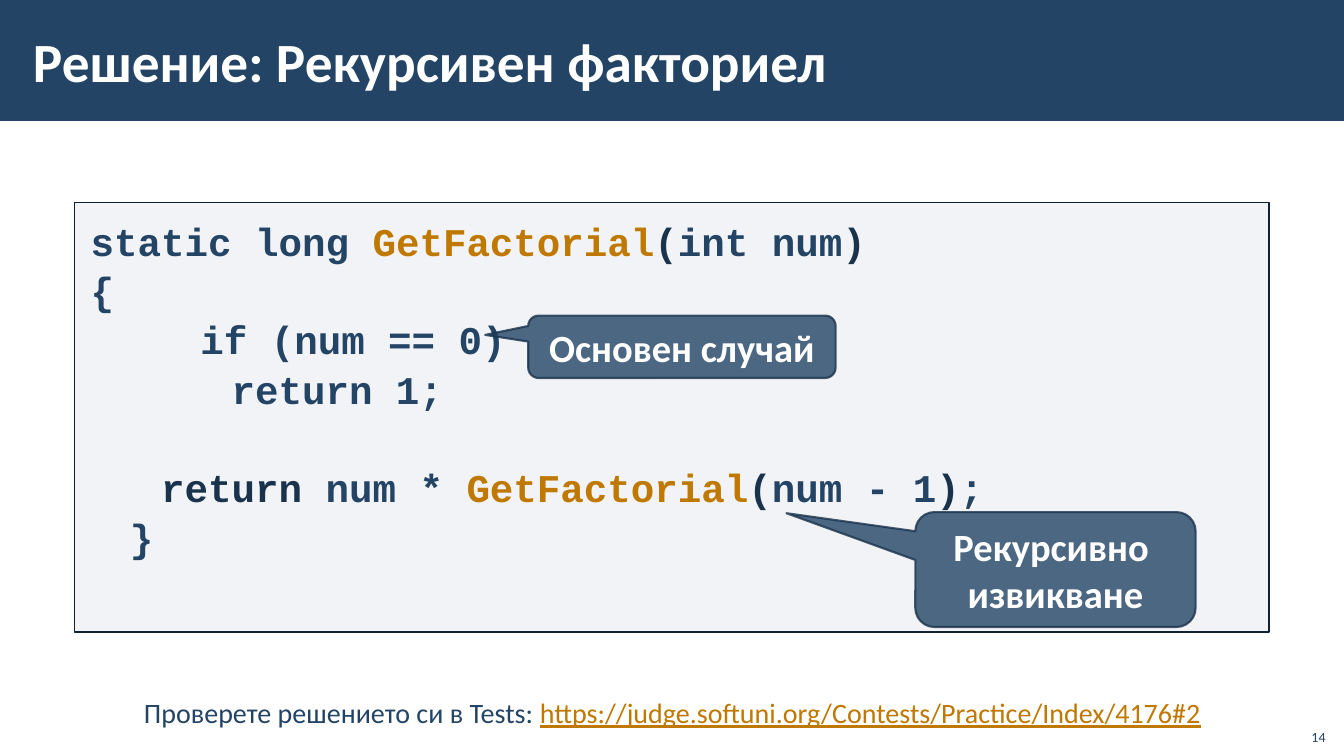
from lxml import etree
from pptx import Presentation
from pptx import util as u
from pptx.dml.color import RGBColor
from pptx.enum import shapes, text
from pptx.oxml.ns import qn

NAVY, DARK, GOLD, WHITE = "234465", "1A334C", "BF7800", "FFFFFF"

# Each paragraph of the code is a list of lines, each line a list of (text, colour)
CODE = [
    [[("static long ", NAVY), ("GetFactorial", GOLD), ("(", DARK),
      ("int num", NAVY), (")", DARK)]],
    [[("{", NAVY)], [("   if (num == 0)", NAVY)]],
    [[("      return 1;", NAVY)]],
    [[("   ", NAVY), ("return", DARK), (" num * ", NAVY), ("GetFactorial", GOLD),
      ("(", DARK), ("num - 1", NAVY), (")", DARK), (";", NAVY)], [("}", NAVY)]],
]


def color(value):
    return RGBColor.from_string(value)


def paint(fill, value, opacity=100):
    """Solid fill with an opacity in percent."""
    fill.solid()
    fill.fore_color.rgb = color(value)
    if opacity < 100:
        for tint in fill._xPr.iter(qn("a:srgbClr")):
            etree.SubElement(tint, qn("a:alpha"), val=str(opacity * 1000))


def set_font(font, size, value, bold=False, name="Calibri"):
    font.name, font.size, font.bold = name, u.Pt(size), bold
    font.color.rgb = color(value)


def set_frame(frame, across, down, anchor):
    frame.word_wrap = True
    frame.auto_size = text.MSO_AUTO_SIZE.NONE
    frame.vertical_anchor = anchor
    frame.margin_left = frame.margin_right = u.Pt(across)
    frame.margin_top = frame.margin_bottom = u.Pt(down)


def add_panel(page, kind, box, fill, opacity=100):
    panel = page.shapes.add_shape(kind, *map(u.Pt, box))
    panel.shadow.inherit = False
    paint(panel.fill, fill, opacity)
    panel.line.fill.background()
    return panel


def add_title(page, box, words):
    left, top, width, height = box
    band = add_panel(page, shapes.MSO_SHAPE.RECTANGLE, box, NAVY)
    title = page.shapes.title
    title.element.addprevious(band.element)
    title.left, title.top = u.Pt(left + 15), u.Pt(top + 8)
    title.width, title.height = u.Pt(width - 153), u.Pt(height - 16)
    set_frame(title.text_frame, 8.5, 3, text.MSO_ANCHOR.MIDDLE)
    para = title.text_frame.paragraphs[0]
    para.text = words
    para.alignment = text.PP_ALIGN.LEFT
    set_font(para.font, 39.5, WHITE, True)


def add_code(page, box):
    panel = add_panel(page, shapes.MSO_SHAPE.RECTANGLE, box, "ADB4C3", 15)
    paint(panel.line.fill, "112233")
    panel.line.width = u.Pt(1)
    frame = panel.text_frame
    set_frame(frame, 11.5, 8.5, text.MSO_ANCHOR.TOP)
    for index, lines in enumerate(CODE):
        para = frame.paragraphs[0] if index == 0 else frame.add_paragraph()
        para.alignment = text.PP_ALIGN.LEFT
        para.line_spacing = 1.05
        # Hanging indent: wrapped lines start further right
        properties = para._p.get_or_add_pPr()
        properties.set("marL", str(u.Pt(28)))
        properties.set("indent", str(-u.Pt(28)))
        for number, line in enumerate(lines):
            if number:
                para.add_line_break()
            for words, value in line:
                span = para.add_run()
                span.text = words
                set_font(span.font, 28, value, True, "Courier New")
    para.space_before = u.Pt(35.2)  # one open line before the last statement


def add_callout(page, box, tip, words):
    callout = add_panel(page, shapes.MSO_SHAPE.ROUNDED_RECTANGULAR_CALLOUT,
                        box, NAVY, 80)
    callout.adjustments[0], callout.adjustments[1] = tip
    paint(callout.line.fill, DARK, 80)
    callout.line.width = u.Pt(1.5)
    set_frame(callout.text_frame, 7.2, 3.6, text.MSO_ANCHOR.MIDDLE)
    para = callout.text_frame.paragraphs[0]
    para.text = words
    para.alignment = text.PP_ALIGN.CENTER
    set_font(para.font, 27.5, WHITE, True)
    for span in para.runs:
        set_font(span.font, 27.5, WHITE, True)


def add_note(page, box, spans, size, align, anchor):
    note = page.shapes.add_textbox(*map(u.Pt, box))
    set_frame(note.text_frame, 7.2, 3.6, anchor)
    para = note.text_frame.paragraphs[0]
    para.alignment = align
    for words, value, underline in spans:
        span = para.add_run()
        span.text = words
        set_font(span.font, size, value)
        span.font.underline = underline


def build_slide(deck):
    page = deck.slides.add_slide(deck.slide_layouts[5])
    # Heading
    add_title(page, (0, 0, 960, 86.4), "Решение: Рекурсивен факториел")
    # Code with its two explanations
    add_code(page, (53.3, 144.7, 853.2, 306.7))
    add_callout(page, (377.3, 225.4, 219.6, 44.6), (-0.64, -0.19), "Основен случай")
    add_callout(page, (653.8, 365.8, 200.2, 82.1), (-0.96, -0.49),
                "Рекурсивно \vизвикване")
    # Link line and page number
    add_note(page, (63.4, 493.2, 833.8, 31.7),
             [("Проверете решението си в Tests: ", NAVY, False),
              ("https://judge.softuni.org/Contests/Practice/Index/4176#2", GOLD, True)],
             20, text.PP_ALIGN.CENTER, text.MSO_ANCHOR.TOP)
    add_note(page, (925.2, 512.6, 28.8, 23), [("14", NAVY, False)],
             10, text.PP_ALIGN.RIGHT, text.MSO_ANCHOR.BOTTOM)


def main():
    deck = Presentation()
    deck.slide_width, deck.slide_height = u.Pt(960), u.Pt(540)
    build_slide(deck)
    deck.save("out.pptx")


if __name__ == "__main__":
    main()
